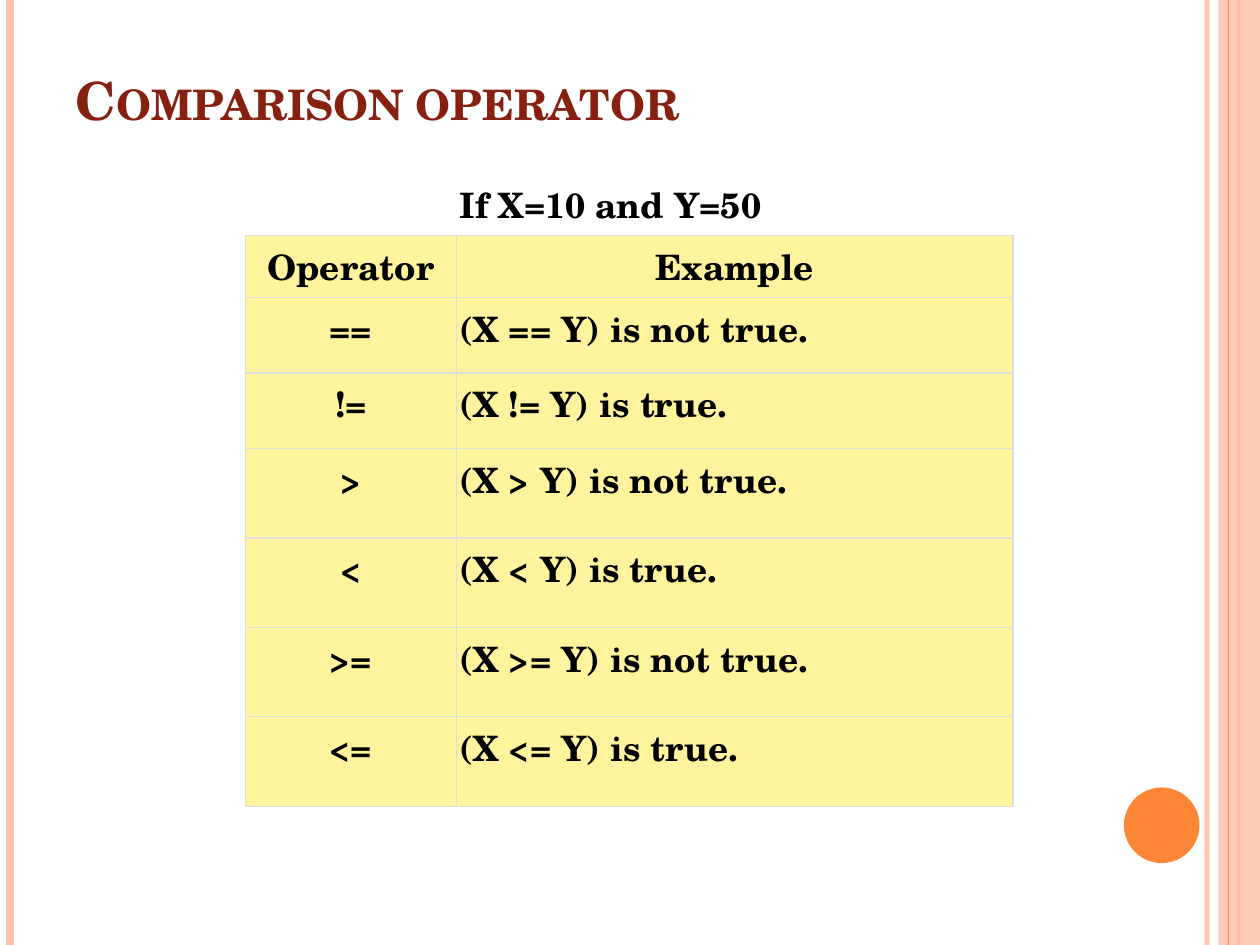
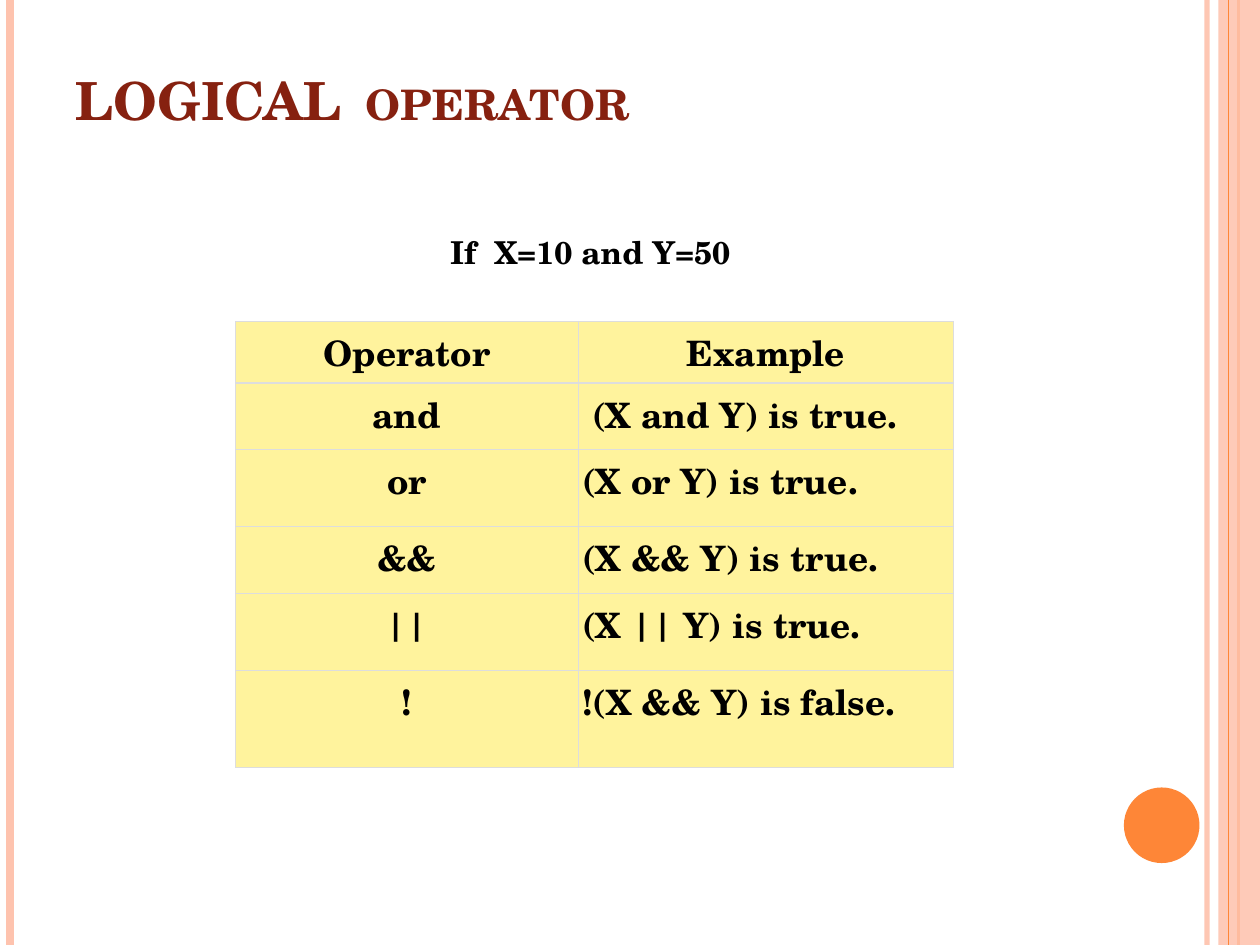
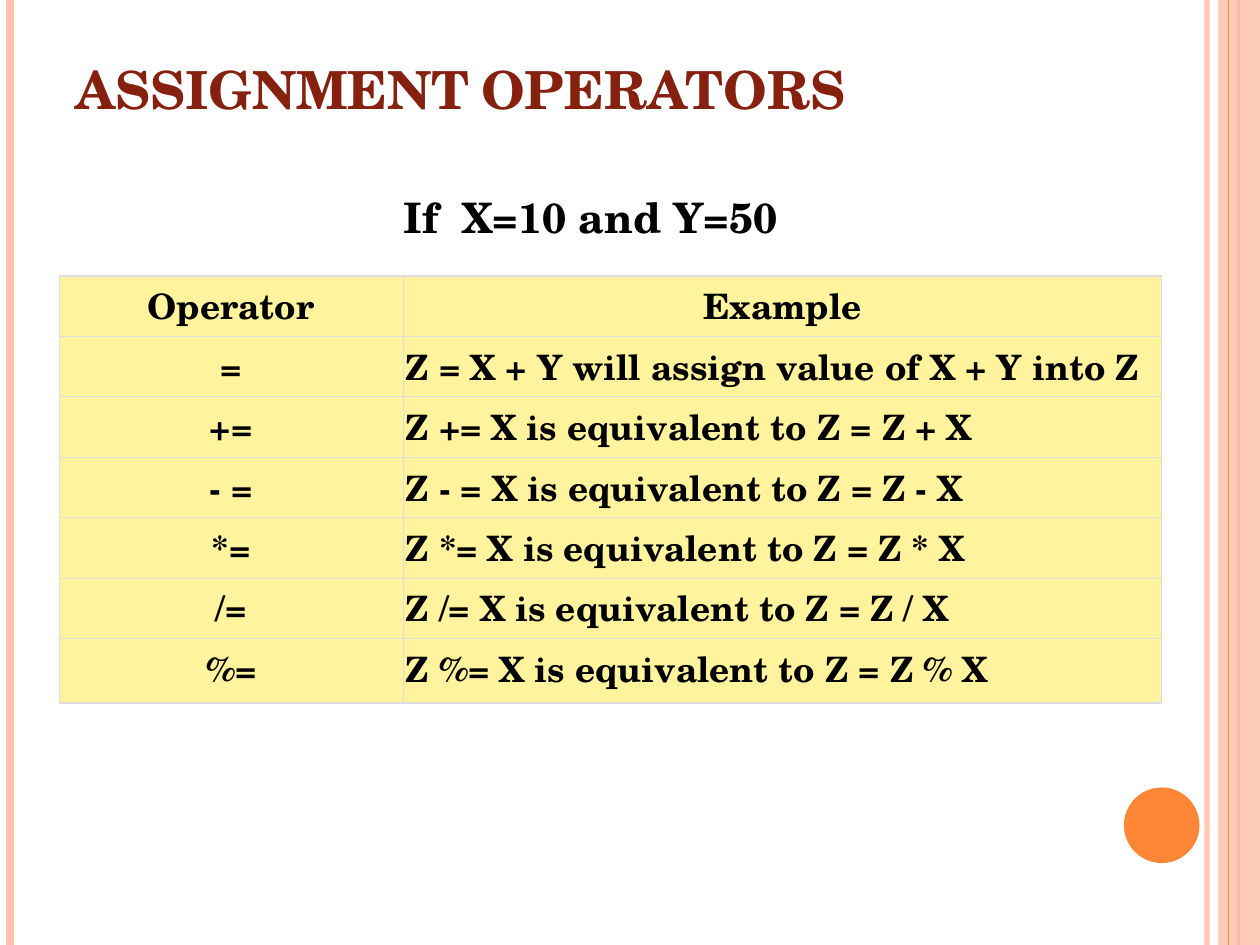
from dataclasses import dataclass

from lxml import etree
from pptx import Presentation
from pptx.dml.color import RGBColor
from pptx.enum.shapes import MSO_CONNECTOR, MSO_SHAPE
from pptx.enum.text import MSO_ANCHOR, MSO_AUTO_SIZE, PP_ALIGN
from pptx.oxml.ns import qn
from pptx.util import Inches, Pt

LINE = MSO_CONNECTOR.STRAIGHT
RECT, OVAL = MSO_SHAPE.RECTANGLE, MSO_SHAPE.OVAL
LEFT, CENTER = PP_ALIGN.LEFT, PP_ALIGN.CENTER
BOTTOM = MSO_ANCHOR.BOTTOM
NO_FIT = MSO_AUTO_SIZE.NONE
WIDE, HIGH = 10, 7.5
TITLE_ONLY = 5


@dataclass(frozen=True)
class Theme:
    font: str = "TeX Gyre Schola"
    pink: str = "FEC3AE"
    orange: str = "FE8637"
    title: str = "862110"
    ink: str = "000000"
    cell: str = "FFF39D"
    rule: str = "DDDDDD"
    head: int = 30
    body: int = 20


class Deck:
    """Holds the theme and the slide being built."""

    def __init__(self, theme):
        self.theme = theme
        self.prs = Presentation()
        self.prs.slide_width = Inches(WIDE)
        self.prs.slide_height = Inches(HIGH)
        self.slide = None

    def add(self, title, top, high):
        """Start a slide with its title."""
        layout = self.prs.slide_layouts[TITLE_ONLY]
        self.slide = self.prs.slides.add_slide(layout)
        if len(self.prs.slides) == 1:
            self.frame()
        shape = self.slide.shapes.title
        shape.left, shape.top = Inches(0.5), Inches(top)
        shape.width, shape.height = Inches(8.17), Inches(high)
        text = shape.text_frame
        text.text = title
        text.auto_size = NO_FIT
        text.vertical_anchor = BOTTOM
        para = text.paragraphs[0]
        self.style(para, self.theme.head, self.theme.title, LEFT)
        para.runs[0]._r.get_or_add_rPr().set("cap", "small")

    def frame(self):
        """Draw the side bands and the disc, and move them to the master."""
        t = self.theme
        parts = [
            self.line(9.58, t.pink, 3, 93),
            self.line(0.08, t.pink, 4.5),
            self.line(9.83, t.orange, 1.5),
            self.shape(RECT, 9.67, 0, 0.33, HIGH, t.pink, 87),
            self.line(9.75, t.orange, 0.75),
            self.shape(OVAL, 8.92, 6.25, 0.6, 0.6, t.orange),
        ]
        tree = self.prs.slide_master.shapes.element
        for part in parts:
            tree.append(part.element)

    def line(self, x, color, width, alpha=100):
        """Draw an upright line over the full height."""
        line = self.slide.shapes.add_connector(
            LINE, Inches(x), 0, Inches(x), Inches(HIGH))
        line.line.color.rgb = RGBColor.from_string(color)
        line.line.width = Pt(width)
        self.fade(line, alpha)
        etree.SubElement(line.element.spPr, qn("a:effectLst"))
        return line

    def shape(self, kind, x, y, w, h, color, alpha=100):
        """Draw a filled shape with no outline."""
        shape = self.slide.shapes.add_shape(
            kind, Inches(x), Inches(y), Inches(w), Inches(h))
        shape.shadow.inherit = False
        shape.fill.solid()
        shape.fill.fore_color.rgb = RGBColor.from_string(color)
        shape.line.fill.background()
        self.fade(shape, alpha)
        return shape

    def fade(self, shape, alpha):
        """Set the opacity in percent."""
        if alpha < 100:
            color = next(shape.element.spPr.iter(qn("a:srgbClr")))
            etree.SubElement(color, qn("a:alpha"), val=str(alpha * 1000))

    def style(self, para, size, color, align):
        """Format a paragraph and its runs."""
        para.alignment = align
        for run in para.runs:
            run.font.name = self.theme.font
            run.font.size = Pt(size)
            run.font.bold = True
            run.font.color.rgb = RGBColor.from_string(color)

    def note(self, words, x, y, h, size):
        """Add the centred line above the table."""
        box = self.slide.shapes.add_textbox(
            Inches(x), Inches(y), Inches(3.59), Inches(h))
        text = box.text_frame
        text.word_wrap = True
        text.text = words
        self.style(text.paragraphs[0], size, self.theme.ink, CENTER)

    def table(self, x, y, cols, highs, rows, inset):
        """Add a two-column table under a header row."""
        rows = [("Operator", "Example")] + rows
        grid = self.slide.shapes.add_table(
            len(rows), len(cols), Inches(x), Inches(y),
            Inches(sum(cols)), Inches(sum(highs))).table
        grid.first_row = grid.horz_banding = False
        for col, wide in zip(grid.columns, cols):
            col.width = Inches(wide)
        for r, (high, row) in enumerate(zip(highs, rows)):
            grid.rows[r].height = Inches(high)
            for c, words in enumerate(row):
                align = LEFT if r and c else CENTER
                self.fill(grid.cell(r, c), words, align, inset)

    def fill(self, cell, words, align, inset):
        """Write and format one table cell."""
        t = self.theme
        cell.margin_left = cell.margin_right = Inches(inset)
        cell.margin_top = cell.margin_bottom = Inches(inset)
        for side in ("lnL", "lnR", "lnT", "lnB"):
            edge = etree.SubElement(cell._tc.get_or_add_tcPr(),
                                    qn("a:" + side), w=str(Pt(0.75)))
            paint = etree.SubElement(edge, qn("a:solidFill"))
            etree.SubElement(paint, qn("a:srgbClr"), val=t.rule)
        cell.fill.solid()
        cell.fill.fore_color.rgb = RGBColor.from_string(t.cell)
        cell.text_frame.text = words
        para = cell.text_frame.paragraphs[0]
        para.space_before = Pt(3)
        self.style(para, t.body, t.ink, align)


deck = Deck(Theme())

# Comparison
deck.add("Comparison operator", 0.3, 0.79)
deck.table(1.95, 1.87, [1.67, 4.42], [0.48] + [0.6] * 2 + [0.71] * 4, [
    ("==", "(X == Y) is not true."),
    ("!=", "(X != Y) is true."),
    (">", "(X > Y) is not true."),
    ("<", "(X < Y) is true."),
    (">=", "(X >= Y) is not true."),
    ("<=", "(X <= Y) is true."),
], 0.03)
deck.note("If X=10 and Y=50", 3.05, 1.41, 0.44, 20)

# Logic
deck.add("LOGICAL  operator", 0.3, 0.79)
deck.table(1.87, 2.55, [2.72, 2.98], [0.48, 0.53, 0.61, 0.53, 0.61, 0.77], [
    ("and", " (X and Y) is true."),
    ("or", "(X or Y) is true."),
    ("&&", "(X && Y) is true."),
    ("||", "(X || Y) is true."),
    ("!", "!(X && Y) is false."),
], 0.03)
deck.note("If  X=10 and Y=50", 2.89, 1.8, 0.4, 18)

# Assignment
deck.add("ASSIGNMENT OPERATORS", 0.31, 0.69)
rows = [("=", "Z = X + Y will assign value of X + Y into Z")]
for name, sign in [("+=", "+"), ("- =", "-"), ("*=", "*"),
                   ("/=", "/"), ("%=", "%")]:
    rows.append((name, f"Z {name} X is equivalent to Z = Z {sign} X"))
deck.table(0.47, 2.19, [2.73, 6.02], [0.48] * 6 + [0.51], rows, 0.02)
deck.note("If  X=10 and Y=50", 2.89, 1.47, 0.5, 24)

deck.prs.save("out.pptx")
